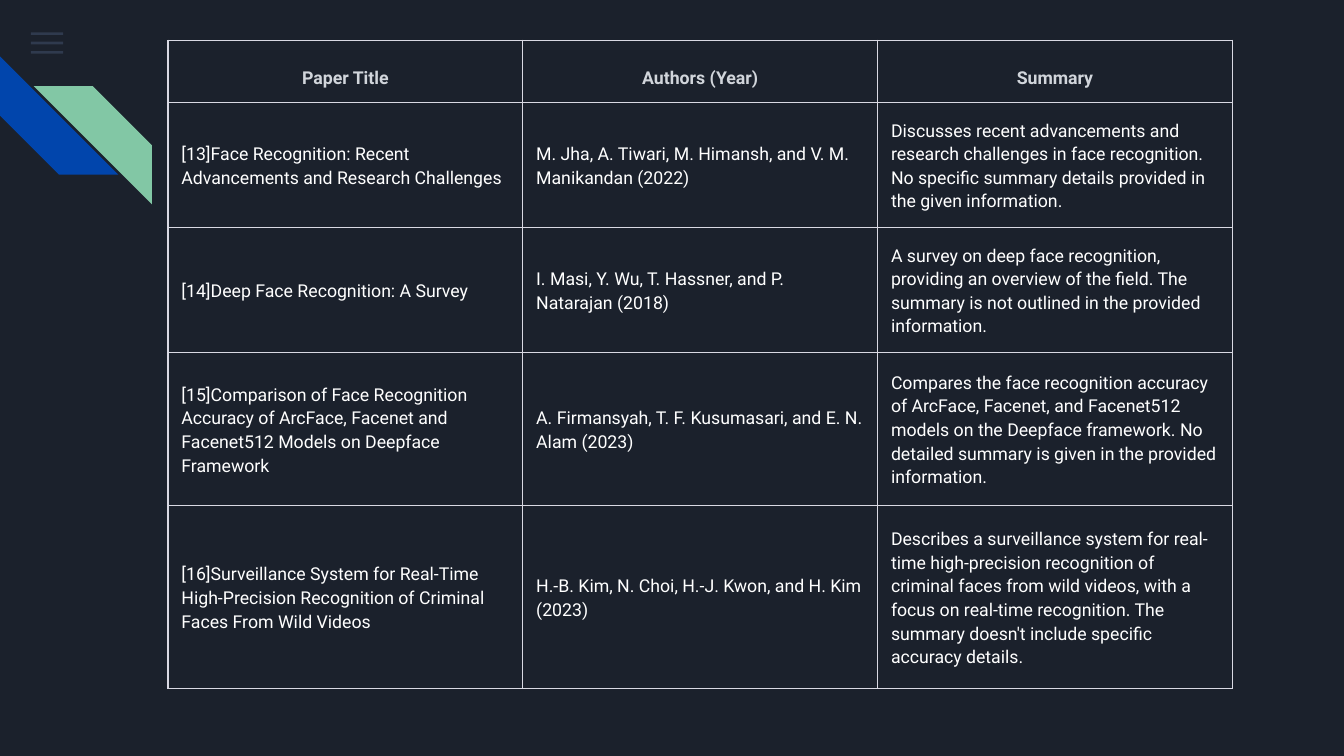
"""Build a dark literature-review slide with a table of papers."""
import dataclasses

import lxml.etree
import pptx
import pptx.dml.color
import pptx.enum.shapes
import pptx.enum.text
import pptx.oxml.ns
import pptx.slide
import pptx.table
import pptx.util

Inches = pptx.util.Inches
ALIGN = pptx.enum.text.PP_ALIGN
ANCHOR = pptx.enum.text.MSO_ANCHOR
SHAPE = pptx.enum.shapes.MSO_SHAPE


@dataclasses.dataclass(frozen=True)
class Theme:
    background: str = "1B212C"
    menu: str = "55688B"
    menu_opacity: int = 36
    blue: str = "0145AC"
    green: str = "82C7A5"
    border: str = "D9D9E3"
    heading: str = "D1D5DB"
    body: str = "FFFFFF"
    font: str = "Roboto"
    text_size: float = 9.5
    border_width: float = 0.67


@dataclasses.dataclass(frozen=True)
class Decoration:
    kind: SHAPE
    left: float
    top: float
    width: float
    height: float
    color: str
    rotation: int = 0
    opacity: int = 100


@dataclasses.dataclass(frozen=True)
class Paper:
    title: str
    authors: str
    summary: str
    height: float


@dataclasses.dataclass(frozen=True)
class CellStyle:
    color: str
    bold: bool
    align: ALIGN
    anchor: ANCHOR
    line_spacing: float


THEME = Theme()
HEADING_STYLE = CellStyle(THEME.heading, True, ALIGN.CENTER, ANCHOR.BOTTOM, 1.71)
BODY_STYLE = CellStyle(THEME.body, False, ALIGN.LEFT, ANCHOR.MIDDLE, 1.15)
SLIDE_WIDTH = 10
SLIDE_HEIGHT = SLIDE_WIDTH * 9 / 16
COLUMN_WIDTH = 2.64
STRIPE_SIZE = 0.88

MENU_BARS = [
    Decoration(SHAPE.RECTANGLE, 0.23, 0.24 + 0.07 * step, 0.24, 0.02,
               THEME.menu, opacity=THEME.menu_opacity)
    for step in range(3)
]
STRIPES = [
    Decoration(SHAPE.DIAGONAL_STRIPE, 0, 0.42, STRIPE_SIZE, STRIPE_SIZE, THEME.blue, 270),
    Decoration(SHAPE.DIAGONAL_STRIPE, 0.25, 0.64, STRIPE_SIZE, STRIPE_SIZE, THEME.green, 90),
]
ROWS = [
    Paper("Paper Title", "Authors (Year)", "Summary", 0.33),
    Paper(
        "[13]Face Recognition: Recent Advancements and Research Challenges",
        "M. Jha, A. Tiwari, M. Himansh, and V. M. Manikandan (2022)",
        "Discusses recent advancements and research challenges in face recognition. "
        "No specific summary details provided in the given information.",
        0.93,
    ),
    Paper(
        "[14]Deep Face Recognition: A Survey",
        "I. Masi, Y. Wu, T. Hassner, and P. Natarajan (2018)",
        "A survey on deep face recognition, providing an overview of the field. "
        "The summary is not outlined in the provided information.",
        0.93,
    ),
    Paper(
        "[15]Comparison of Face Recognition Accuracy of ArcFace, Facenet and "
        "Facenet512 Models on Deepface Framework",
        "A. Firmansyah, T. F. Kusumasari, and E. N. Alam (2023)",
        "Compares the face recognition accuracy of ArcFace, Facenet, and Facenet512 "
        "models on the Deepface framework. No detailed summary is given in the "
        "provided information.",
        1.14,
    ),
    Paper(
        "[16]Surveillance System for Real-Time High-Precision Recognition of "
        "Criminal Faces From Wild Videos",
        "H.-B. Kim, N. Choi, H.-J. Kwon, and H. Kim (2023)",
        "Describes a surveillance system for real-time high-precision recognition of "
        "criminal faces from wild videos, with a focus on real-time recognition. "
        "The summary doesn't include specific accuracy details.",
        1.36,
    ),
]


def rgb(color: str) -> pptx.dml.color.RGBColor:
    return pptx.dml.color.RGBColor.from_string(color)


def add_child(parent: lxml.etree.ElementBase, tag: str, **attributes: str) -> lxml.etree.ElementBase:
    return lxml.etree.SubElement(parent, pptx.oxml.ns.qn(tag), attributes)


def draw_decoration(page: pptx.slide.Slide, item: Decoration) -> None:
    shape = page.shapes.add_shape(
        item.kind, Inches(item.left), Inches(item.top), Inches(item.width), Inches(item.height))
    shape.shadow.inherit = False
    shape.rotation = item.rotation
    shape.line.fill.background()
    shape.fill.solid()
    shape.fill.fore_color.rgb = rgb(item.color)
    if item.opacity < 100:
        color = shape._element.spPr.find(".//" + pptx.oxml.ns.qn("a:srgbClr"))
        add_child(color, "a:alpha", val=str(item.opacity * 1000))


def draw_borders(cell: pptx.table._Cell) -> None:
    properties = cell._tc.get_or_add_tcPr()
    for position, side in enumerate(("a:lnL", "a:lnR", "a:lnT", "a:lnB")):
        line = add_child(properties, side, w=str(int(pptx.util.Pt(THEME.border_width))))
        add_child(add_child(line, "a:solidFill"), "a:srgbClr", val=THEME.border)
        properties.insert(position, line)


def fill_cell(cell: pptx.table._Cell, text: str, style: CellStyle) -> None:
    cell.fill.background()
    cell.vertical_anchor = style.anchor
    cell.margin_left = cell.margin_right = cell.margin_top = cell.margin_bottom = Inches(0.1)
    cell.text = text
    paragraph = cell.text_frame.paragraphs[0]
    paragraph.alignment = style.align
    paragraph.line_spacing = style.line_spacing
    paragraph.font.name = THEME.font
    paragraph.font.size = pptx.util.Pt(THEME.text_size)
    paragraph.font.bold = style.bold
    paragraph.font.color.rgb = rgb(style.color)
    draw_borders(cell)


def draw_table(page: pptx.slide.Slide, papers: list[Paper]) -> None:
    height = sum(paper.height for paper in papers)
    table = page.shapes.add_table(
        len(papers), 3, Inches(1.25), Inches(0.3), Inches(3 * COLUMN_WIDTH), Inches(height)).table
    table.first_row = table.horz_banding = False
    for column in table.columns:
        column.width = Inches(COLUMN_WIDTH)
    for index, paper in enumerate(papers):
        row = table.rows[index]
        row.height = Inches(paper.height)
        style = BODY_STYLE if index else HEADING_STYLE
        for cell, text in zip(row.cells, (paper.title, paper.authors, paper.summary)):
            fill_cell(cell, text, style)


def main() -> None:
    deck = pptx.Presentation()
    deck.slide_width, deck.slide_height = Inches(SLIDE_WIDTH), Inches(SLIDE_HEIGHT)
    page = deck.slides.add_slide(deck.slide_layouts[6])
    page.background.fill.solid()
    page.background.fill.fore_color.rgb = rgb(THEME.background)
    for item in MENU_BARS + STRIPES:
        draw_decoration(page, item)
    draw_table(page, ROWS)
    deck.save("out.pptx")


if __name__ == "__main__":
    main()
